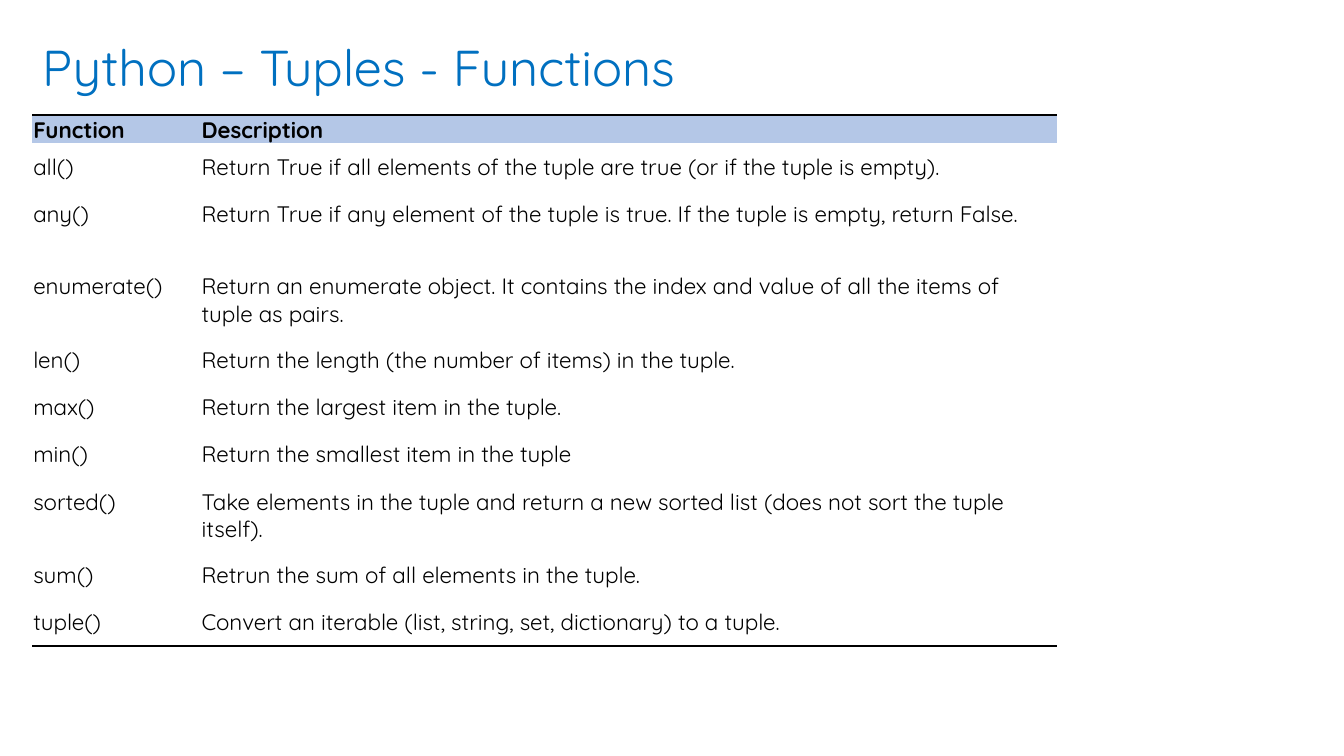
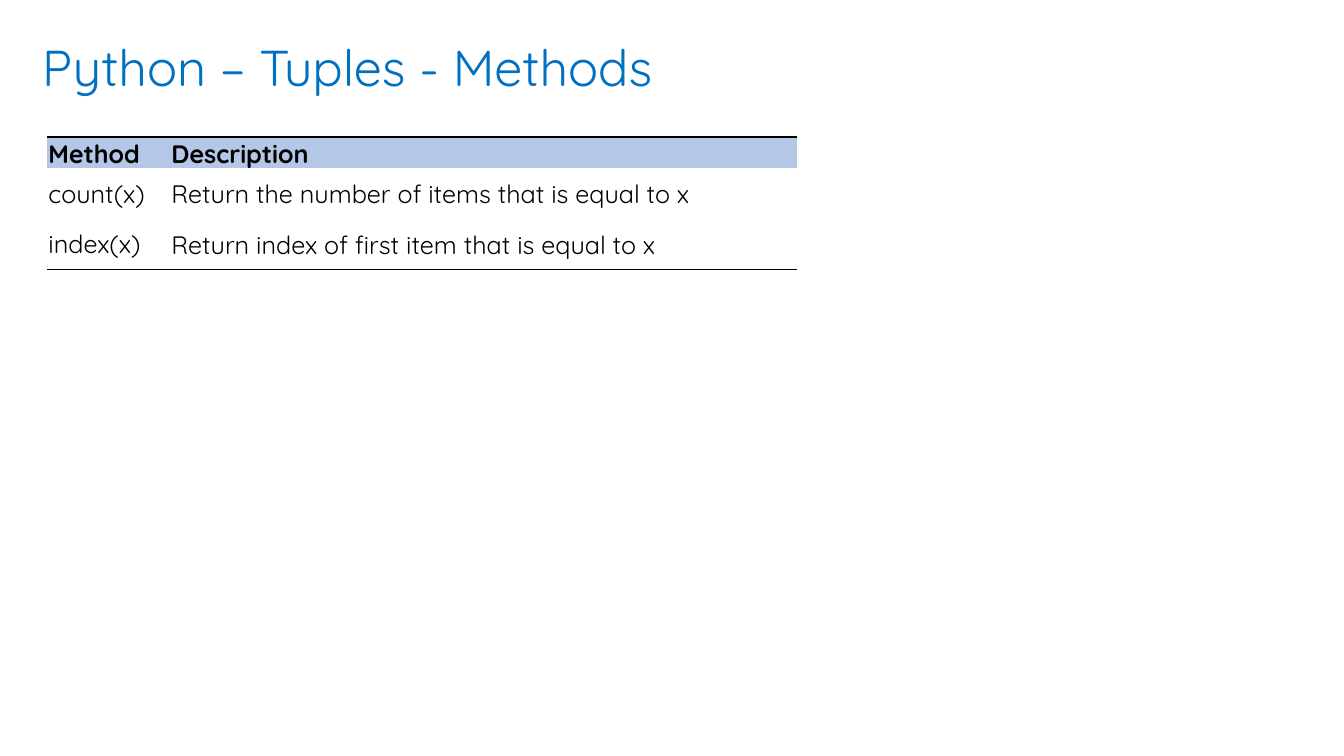
"""Build two slides that list the functions and methods of Python tuples."""
from lxml import etree
from pptx import Presentation
from pptx.dml.color import RGBColor
from pptx.enum.text import MSO_ANCHOR, MSO_AUTO_SIZE
from pptx.oxml.ns import qn
from pptx.util import Inches, Pt

TOP = MSO_ANCHOR.TOP
BOTTOM = MSO_ANCHOR.BOTTOM
GROW = MSO_AUTO_SIZE.SHAPE_TO_FIT_TEXT
FONT = "Quicksand"
BLUE = RGBColor(0x00, 0x70, 0xC0)
HEADER_BLUE = RGBColor(0xB4, 0xC7, 0xE7)
BLACK = RGBColor(0x00, 0x00, 0x00)
PLAIN_TABLE = "{2D5ABB26-0587-4C30-8999-92F81FD0307C}"

FUNCTIONS = [
    ("Function", "Description", 0.28),
    ("all()", "Return True if all elements of the tuple are true (or if the tuple is empty).", 0.47),
    ("any()", "Return True if any element of the tuple is true. If the tuple is empty, return False.", 0.71),
    ("enumerate()", "Return an enumerate object. It contains the index and value of all the items of tuple as pairs.", 0.73),
    ("len()", "Return the length (the number of items) in the tuple.", 0.47),
    ("max()", "Return the largest item in the tuple.", 0.47),
    ("min()", "Return the smallest item in the tuple", 0.47),
    ("sorted()", "Take elements in the tuple and return a new sorted list (does not sort the tuple itself).", 0.73),
    ("sum()", "Retrun the sum of all elements in the tuple.", 0.47),
    ("tuple()", "Convert an iterable (list, string, set, dictionary) to a tuple.", 0.47),
]
METHODS = [
    ("Method", "Description", 0.31),
    ("count(x)", "Return the number of items that is equal to x", 0.5),
    ("index(x)", "Return index of first item that is equal to x", 0.5),
]


def write_text(frame, text, size, color=BLACK, bold=False):
    run = frame.paragraphs[0].add_run()
    run.text = text
    run.font.name = FONT
    run.font.size = Pt(size)
    run.font.color.rgb = color
    run.font.bold = bold


def draw_border(cell, side):
    line = etree.Element(qn(f"a:{side}"), w=str(Pt(1)))
    fill = etree.SubElement(line, qn("a:solidFill"))
    etree.SubElement(fill, qn("a:srgbClr"), val=str(BLACK))
    cell._tc.get_or_add_tcPr().insert(0, line)


class Deck:
    def __init__(self):
        self.presentation = Presentation()
        self.presentation.slide_width = Inches(13.33)
        self.presentation.slide_height = Inches(7.5)
        self.slide = None

    def add_slide(self, title):
        self.slide = self.presentation.slides.add_slide(self.presentation.slide_layouts[6])
        heading = self.slide.shapes.add_textbox(Inches(0.32), Inches(0.31), Inches(9.51), Inches(0.71))
        heading.text_frame.word_wrap = True
        heading.text_frame.auto_size = GROW
        write_text(heading.text_frame, title, 36, color=BLUE)

    def add_reference(self, entries, left, top, widths, size, name_anchor=TOP):
        height = sum(entry[2] for entry in entries)
        table = self.slide.shapes.add_table(
            len(entries), len(widths), Inches(left), Inches(top), Inches(sum(widths)), Inches(height)
        ).table
        table.horz_banding = False
        table._tbl.tblPr.find(qn("a:tableStyleId")).text = PLAIN_TABLE
        for column, width in zip(table.columns, widths):
            column.width = Inches(width)
        for index, (name, description, row_height) in enumerate(entries):
            table.rows[index].height = Inches(row_height)
            for column, text in enumerate((name, description)):
                self.fill_cell(table.cell(index, column), text, size, header=index == 0)
            if index:
                table.cell(index, 0).vertical_anchor = name_anchor
        for column in range(len(widths)):
            draw_border(table.cell(0, column), "lnT")
            draw_border(table.cell(len(entries) - 1, column), "lnB")

    def fill_cell(self, cell, text, size, header):
        cell.margin_left = cell.margin_right = Inches(0.01)
        cell.margin_top = Inches(0.01 if header else 0.1)
        cell.margin_bottom = Inches(0 if header else 0.09)
        cell.vertical_anchor = TOP
        if header:
            cell.fill.solid()
            cell.fill.fore_color.rgb = HEADER_BLUE
        else:
            cell.fill.background()
        write_text(cell.text_frame, text, size, bold=header)


def main():
    deck = Deck()
    deck.add_slide("Python – Tuples - Functions")
    deck.add_reference(FUNCTIONS, 0.32, 1.14, (1.67, 8.49), 16)
    deck.add_slide("Python – Tuples - Methods")
    deck.add_reference(METHODS, 0.47, 1.36, (1.22, 6.22), 18, name_anchor=BOTTOM)
    deck.presentation.save("out.pptx")


if __name__ == "__main__":
    main()
